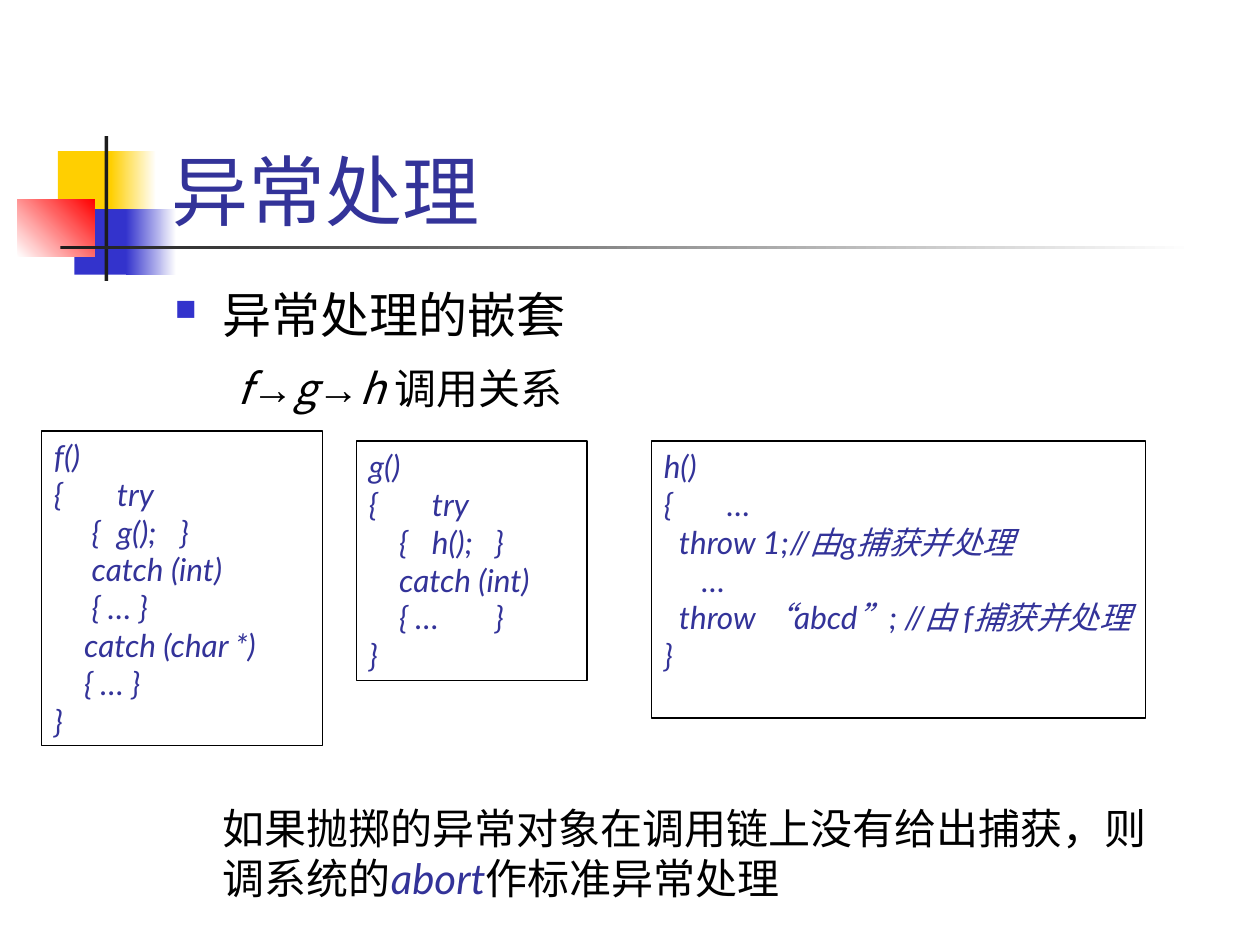
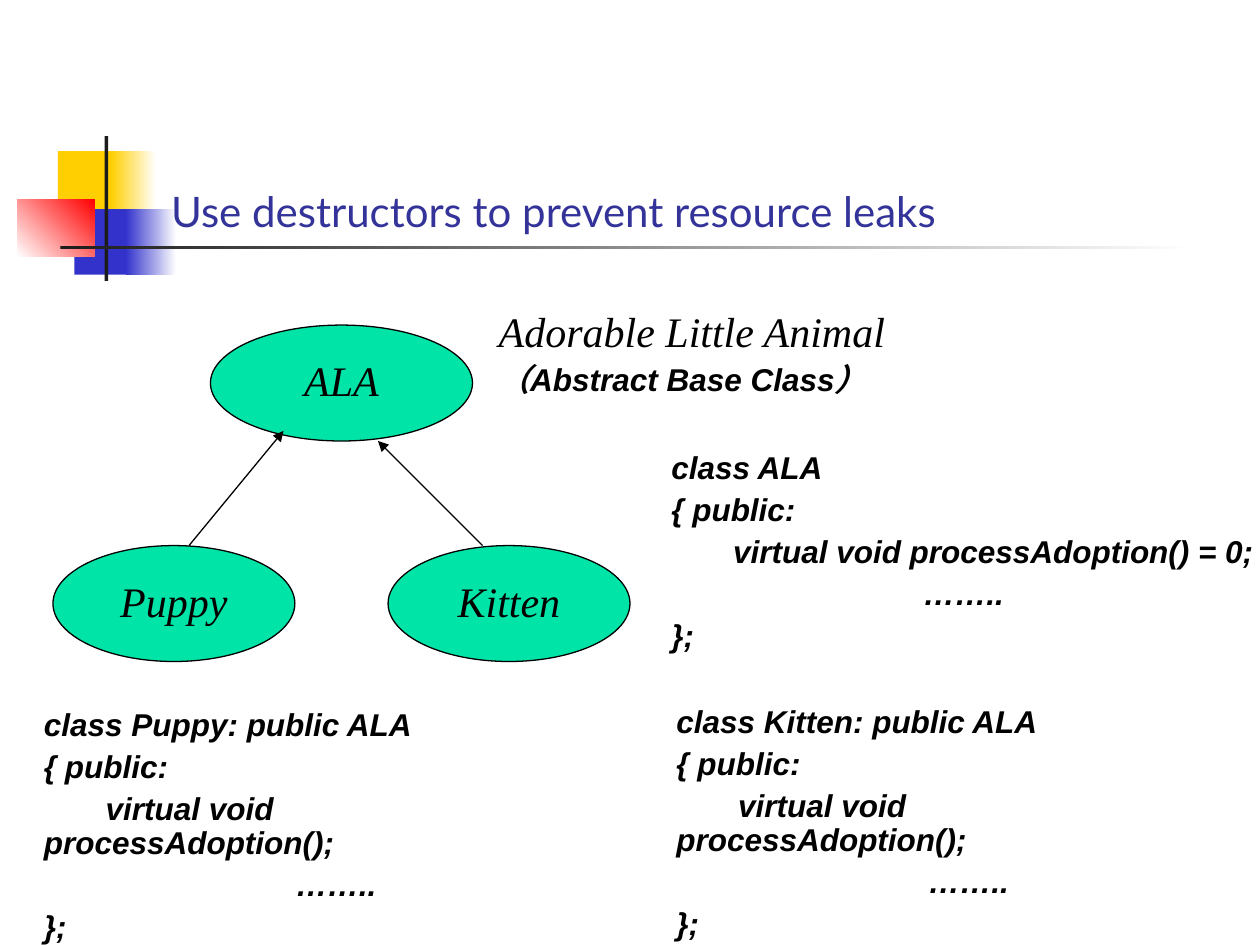
from pptx import Presentation
from pptx.dml.color import RGBColor
from pptx.enum.shapes import MSO_CONNECTOR as CONNECTOR, MSO_SHAPE as SHAPE
from pptx.enum.text import MSO_ANCHOR as ANCHOR, MSO_AUTO_SIZE as AUTO_SIZE, PP_ALIGN as ALIGN
from pptx.oxml.ns import qn
from pptx.util import Inches, Pt
from lxml.etree import SubElement

YELLOW = RGBColor(0xFF, 0xCF, 0x01)
BLUE = RGBColor(0x33, 0x33, 0xCC)
RED = RGBColor(0xFF, 0x00, 0x00)
INK = RGBColor(0x1C, 0x1C, 0x1C)
NAVY = RGBColor(0x33, 0x33, 0x99)
GREEN = RGBColor(0x00, 0xE4, 0xA8)
BLACK = RGBColor(0x00, 0x00, 0x00)
WHITE = RGBColor(0xFF, 0xFF, 0xFF)

LATO, CJK, ARIAL, TIMES = "Lato", "Noto Sans CJK SC", "Arial", "Times New Roman"
CODE = dict(font=LATO, size=18, color=NAVY, italic=True)
CLASS_CODE = dict(font=ARIAL, size=18, bold=True, italic=True, line_spacing=0.9, before=4.5)
NAME = dict(font=TIMES, size=24, italic=True, line_spacing=0.9, before=6)


def add_run(paragraph, text, font=CJK, size=24, color=BLACK, bold=False, italic=False):
    run = paragraph.add_run()
    run.text = text
    run.font.name, run.font.size = font, Pt(size)
    run.font.bold, run.font.italic = bold, italic
    run.font.color.rgb = color
    east_asian = SubElement(run._r.get_or_add_rPr(), qn("a:ea"))
    east_asian.set("typeface", CJK if font == LATO else font)


def add_text(frame, text, align=ALIGN.LEFT, line_spacing=None, before=0, after=0,
             left=0, indent=0, tabs=(), bullet=None, **run_format):
    """Add one paragraph; text is a string or a list of (string, format) runs."""
    first = frame.paragraphs[0]
    paragraph = frame.add_paragraph() if first.runs else first
    paragraph.alignment = align
    paragraph.space_before, paragraph.space_after = Pt(before), Pt(after)
    if line_spacing:
        paragraph.line_spacing = line_spacing
    properties = paragraph._p.get_or_add_pPr()
    properties.set("marL", str(Inches(left)))
    properties.set("indent", str(Inches(indent)))
    if bullet:
        color = SubElement(properties, qn("a:buClr"))
        SubElement(color, qn("a:srgbClr")).set("val", str(BLUE))
        SubElement(properties, qn("a:buSzPct")).set("val", "60000")
        SubElement(properties, qn("a:buChar")).set("char", bullet)
    if tabs:
        tab_list = SubElement(properties, qn("a:tabLst"))
        for stop in tabs:
            tab = SubElement(tab_list, qn("a:tab"))
            tab.set("pos", str(Inches(stop)))
            tab.set("algn", "l")
    runs = [(text, {})] if isinstance(text, str) else text
    for words, extra in runs:
        add_run(paragraph, words, **{**run_format, **extra})


def add_frame(slide, box, wrap=True, anchor=ANCHOR.TOP, grow=False):
    frame = slide.shapes.add_textbox(*map(Inches, box)).text_frame
    frame.word_wrap, frame.vertical_anchor = wrap, anchor
    frame.auto_size = AUTO_SIZE.SHAPE_TO_FIT_TEXT if grow else AUTO_SIZE.NONE
    return frame


def add_shape(slide, kind, box, fill=None, fade=None, angle=0, outlined=False):
    """Add a shape with a plain fill, a fade from fill to fade, or no fill."""
    shape = slide.shapes.add_shape(kind, *map(Inches, box))
    shape.shadow.inherit = False
    if fade is not None:
        shape.fill.gradient()
        shape.fill.gradient_angle = angle
        for stop, color in zip(shape.fill.gradient_stops, (fill, fade)):
            stop.color.rgb = color
    elif fill is not None:
        shape.fill.solid()
        shape.fill.fore_color.rgb = fill
    else:
        shape.fill.background()
    if outlined:
        shape.line.color.rgb, shape.line.width = BLACK, Pt(0.75)
    else:
        shape.line.fill.background()
    return shape


def add_header(slide, title, size):
    # Coloured squares, then the cross bars
    ornaments = [
        ((0.46, 1.2, 0.48, 0.52), YELLOW, None, 0),
        ((0.88, 1.2, 0.36, 0.52), YELLOW, WHITE, 0),
        ((0.59, 1.66, 0.46, 0.52), BLUE, None, 0),
        ((1, 1.66, 0.4, 0.52), BLUE, WHITE, 0),
        ((0.14, 1.58, 0.61, 0.46), WHITE, RED, 45),
        ((0.83, 1.08, 0.03, 1.15), INK, None, 0),
        ((0.48, 1.95, 9, 0.03), INK, WHITE, 0),
    ]
    for box, fill, fade, angle in ornaments:
        add_shape(slide, SHAPE.RECTANGLE, box, fill, fade, angle)
    frame = add_frame(slide, (1.26, 0.67, 8.52, 1.25), anchor=ANCHOR.BOTTOM)
    add_text(frame, title, font=LATO, size=size, color=NAVY)


def add_code_box(slide, box, lines):
    """Lines are (indent, text, tab stops)."""
    shape = add_shape(slide, SHAPE.RECTANGLE, box, outlined=True)
    frame = shape.text_frame
    frame.word_wrap, frame.vertical_anchor = True, ANCHOR.TOP
    frame.auto_size = AUTO_SIZE.SHAPE_TO_FIT_TEXT
    for indent, text, tabs in lines:
        add_text(frame, text, indent=indent, tabs=tabs, **CODE)


def add_class_code(slide, box, heading, member):
    frame = add_frame(slide, box, wrap=False, grow=True)
    lines = [(0, heading), (0, "{ public:"), (0.49, member), (2, "…….."), (0, "};")]
    for indent, text in lines:
        add_text(frame, text, indent=indent, **CLASS_CODE)


def add_class_ellipse(slide, box, name):
    shape = add_shape(slide, SHAPE.OVAL, box, GREEN, outlined=True)
    frame = shape.text_frame
    frame.word_wrap, frame.vertical_anchor = False, ANCHOR.MIDDLE
    add_text(frame, name, align=ALIGN.CENTER, **NAME)


def add_arrow(slide, start, end):
    arrow = slide.shapes.add_connector(CONNECTOR.STRAIGHT, *map(Inches, start + end))
    arrow.line.color.rgb, arrow.line.width = BLACK, Pt(0.75)
    SubElement(arrow.line._get_or_add_ln(), qn("a:tailEnd")).set("type", "triangle")
    SubElement(arrow._element.spPr, qn("a:effectLst"))


def build_nesting_slide(slide):
    add_header(slide, "异常处理", 44)

    # Topic and call chain
    body = add_frame(slide, (1.29, 2.21, 8.5, 4.5))
    add_text(body, "异常处理的嵌套", size=28, left=0.38, indent=-0.38,
             before=5, after=5, bullet="■")
    arrow = ("→", dict(font=ARIAL))
    chain = [("f", {}), arrow, ("g", {}), arrow, ("h ", {}), ("调用关系", dict(italic=False))]
    add_text(body, chain, italic=True, left=0.81, indent=-0.31, before=6)

    # The three functions
    add_code_box(slide, (5.17, 3.5, 3.92, 2.2), [
        (0, "h()", ()),
        (0, "{\t…", (0.31,)),
        (0.12, "throw 1;\t//由g捕获并处理", (1.17,)),
        (0.3, "…", ()),
        (0.12, "throw “abcd”; //由 f捕获并处理", ()),
        (0, "}", ()),
    ])
    add_code_box(slide, (2.83, 3.5, 1.83, 1.9), [
        (0, "g()", ()),
        (0, "{\ttry", (0.31,)),
        (0.24, "{\th();\t}", (0.54, 0.98)),
        (0.24, "catch (int)", ()),
        (0.24, "{ …\t}", (0.66,)),
        (0, "}", ()),
    ])
    add_code_box(slide, (0.33, 3.42, 2.23, 2.5), [
        (0, "f()", ()),
        (0, "{\ttry", (0.37,)),
        (0.3, "{\tg();\t}", (0.65, 1.2)),
        (0.3, "catch (int)", ()),
        (0.3, "{ … }", ()),
        (0.24, "catch (char *)", ()),
        (0.24, "{ … }", ()),
        (0, "}", ()),
    ])

    # Closing remark
    remark = add_frame(slide, (1.67, 6.32, 7.75, 0.9), grow=True)
    add_text(remark, [
        ("如果抛掷的异常对象在调用链上没有给出捕获，则调系统的", {}),
        ("abort", dict(font=LATO, color=NAVY, italic=True)),
        ("作标准异常处理", {}),
    ])


def build_destructor_slide(slide):
    add_header(slide, "Use destructors to prevent resource leaks", 24)

    # Class hierarchy
    add_class_ellipse(slide, (1.67, 2.58, 2.08, 0.92), "ALA")
    for left, name in ((0.42, "Puppy"), (3.08, "Kitten")):
        add_class_ellipse(slide, (left, 4.33, 1.92, 0.92), name)
    add_arrow(slide, (3.83, 4.33), (3, 3.5))
    add_arrow(slide, (1.5, 4.33), (2.25, 3.42))

    # Base class caption
    caption = add_frame(slide, (3.86, 2.42, 3.27, 0.8), wrap=False, grow=True)
    add_text(caption, "Adorable Little Animal", **NAME)
    add_text(caption, "（Abstract Base Class）", **CLASS_CODE)

    # Class declarations
    member = "virtual void processAdoption()"
    add_class_code(slide, (5.23, 3.54, 4.82, 1.7), "class ALA", member + " = 0;")
    for left, top, name in ((0.25, 5.58, "Puppy"), (5.27, 5.56, "Kitten")):
        add_class_code(slide, (left, top, 4.39, 1.7), f"class {name}: public ALA", member + ";")


def main():
    presentation = Presentation()
    presentation.slide_width, presentation.slide_height = Inches(10), Inches(7.5)
    blank = presentation.slide_layouts[6]
    for build in (build_nesting_slide, build_destructor_slide):
        build(presentation.slides.add_slide(blank))
    presentation.save("out.pptx")


if __name__ == "__main__":
    main()
